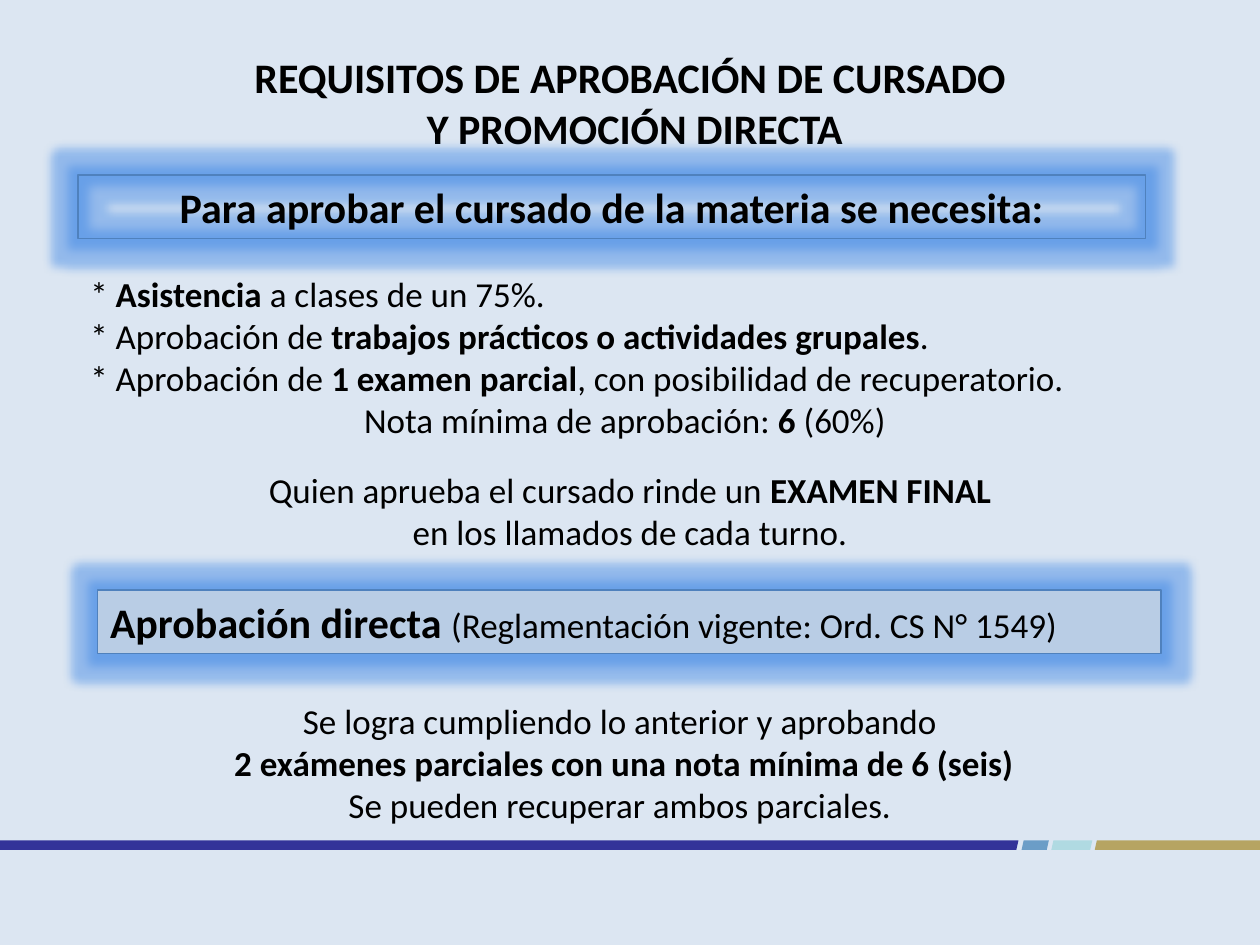
from dataclasses import dataclass

from lxml import etree
from pptx import Presentation
from pptx.dml.color import RGBColor
from pptx.enum.shapes import MSO_SHAPE
from pptx.enum.text import MSO_ANCHOR, MSO_AUTO_SIZE, PP_ALIGN
from pptx.oxml.ns import qn
from pptx.util import Pt

RECTANGLE = MSO_SHAPE.RECTANGLE
LEFT, CENTER = PP_ALIGN.LEFT, PP_ALIGN.CENTER
TOP = MSO_ANCHOR.TOP
GROW = MSO_AUTO_SIZE.SHAPE_TO_FIT_TEXT


@dataclass(frozen=True)
class Theme:
    font: str = "Calibri"
    heading: int = 24
    body: int = 20
    text: str = "000000"
    background: str = "DCE6F2"
    banner: str = "B9CDE5"
    outline: str = "4F81BD"
    glow: str = "287AE3"
    navy: str = "333399"
    blue: str = "6B9DC7"
    aqua: str = "B0DAE2"
    gold: str = "B6A462"


theme = Theme()


def write(box, paragraphs):
    """Fill a box with (alignment, [(text, size, bold), ...]) paragraphs."""
    frame = box.text_frame
    frame.word_wrap = True
    frame.auto_size = GROW
    frame.vertical_anchor = TOP
    for index, (alignment, spans) in enumerate(paragraphs):
        para = frame.add_paragraph() if index else frame.paragraphs[0]
        para.alignment = alignment
        for text, size, bold in spans:
            span = para.add_run()
            span.text = text
            span.font.name = theme.font
            span.font.size = Pt(size)
            span.font.bold = bold
            span.font.color.rgb = RGBColor.from_string(theme.text)


def add_glow(shape, radius, opacity):
    shape.shadow.inherit = False
    effects = shape._element.spPr.find(qn("a:effectLst"))
    glow = etree.SubElement(effects, qn("a:glow"), rad=str(Pt(radius)))
    color = etree.SubElement(glow, qn("a:srgbClr"), val=theme.glow)
    etree.SubElement(color, qn("a:alpha"), val=str(opacity * 1000))


deck = Presentation()
deck.slide_width, deck.slide_height = Pt(720), Pt(540)
page = deck.slides.add_slide(deck.slide_layouts[6])
page.background.fill.solid()
page.background.fill.fore_color.rgb = RGBColor.from_string(theme.background)

# Footer stripe: slanted segments, except at the slide edges
stripe_top, stripe_bottom, slant = 480.2, 485.6, 1.2
segments = [
    (625.6 + slant, 720, theme.gold),
    (602, 624.2, theme.aqua),
    (585, 599.4, theme.blue),
    (0, 582, theme.navy),
]
for left, right, color in segments:
    bottom_left = left - slant if left > 0 else left
    bottom_right = right - slant if right < 720 else right
    builder = page.shapes.build_freeform(Pt(left), Pt(stripe_top))
    builder.add_line_segments([
        (Pt(right), Pt(stripe_top)),
        (Pt(bottom_right), Pt(stripe_bottom)),
        (Pt(bottom_left), Pt(stripe_bottom)),
    ])
    segment = builder.convert_to_shape()
    segment.shadow.inherit = False
    segment.fill.solid()
    segment.fill.fore_color.rgb = RGBColor.from_string(color)
    segment.line.fill.background()

# Plain text blocks
big, small = theme.heading, theme.body
text_blocks = [
    ((36.5, 26, 652.5, 65.5), [
        (CENTER, [("REQUISITOS DE APROBACIÓN DE CURSADO ", big, True)]),
        (CENTER, [("Y PROMOCIÓN DIRECTA", big, True)]),
    ]),
    ((44.5, 152, 625, 104.4), [
        (LEFT, [("* ", small, False), ("Asistencia", small, True),
                (" a clases de un 75%.", small, False)]),
        (LEFT, [("* Aprobación de ", small, False),
                ("trabajos prácticos o actividades grupales", small, True),
                (".", small, False)]),
        (LEFT, [("* Aprobación de ", small, False),
                ("1 examen parcial", small, True),
                (", con posibilidad de recuperatorio.", small, False)]),
        (CENTER, [("Nota mínima de aprobación: ", small, False),
                  ("6", small, True), (" (60%)", small, False)]),
    ]),
    ((25, 396, 663, 80), [
        (CENTER, [("Se logra cumpliendo lo anterior y aprobando ", small, False)]),
        (CENTER, [("2 exámenes parciales con una nota mínima de 6 (seis)",
                   small, True)]),
        (CENTER, [("Se pueden recuperar ambos parciales. ", small, False)]),
    ]),
    ((137.5, 264, 445, 55.5), [
        (CENTER, [("Quien aprueba el cursado rinde un ", small, False),
                  ("EXAMEN FINAL ", small, True),
                  ("en los llamados de cada turno.", small, False)]),
    ]),
]
for bounds, paragraphs in text_blocks:
    write(page.shapes.add_textbox(*map(Pt, bounds)), paragraphs)

# Glowing section banners
banners = [
    ((44.6, 100, 610, 36.3), None, [
        (CENTER, [("Para aprobar el cursado de la materia se necesita:",
                   big, True)]),
    ]),
    ((55.8, 337.2, 607.7, 36.3), theme.banner, [
        (LEFT, [("Aprobación directa ", big, True),
                ("(Reglamentación vigente: Ord. CS N° 1549)", small, False)]),
    ]),
]
for bounds, color, paragraphs in banners:
    banner = page.shapes.add_shape(RECTANGLE, *map(Pt, bounds))
    if color:
        banner.fill.solid()
        banner.fill.fore_color.rgb = RGBColor.from_string(color)
    else:
        banner.fill.background()
    banner.line.color.rgb = RGBColor.from_string(theme.outline)
    banner.line.width = Pt(0.75)
    add_glow(banner, radius=11, opacity=40)
    write(banner, paragraphs)

deck.save("out.pptx")
